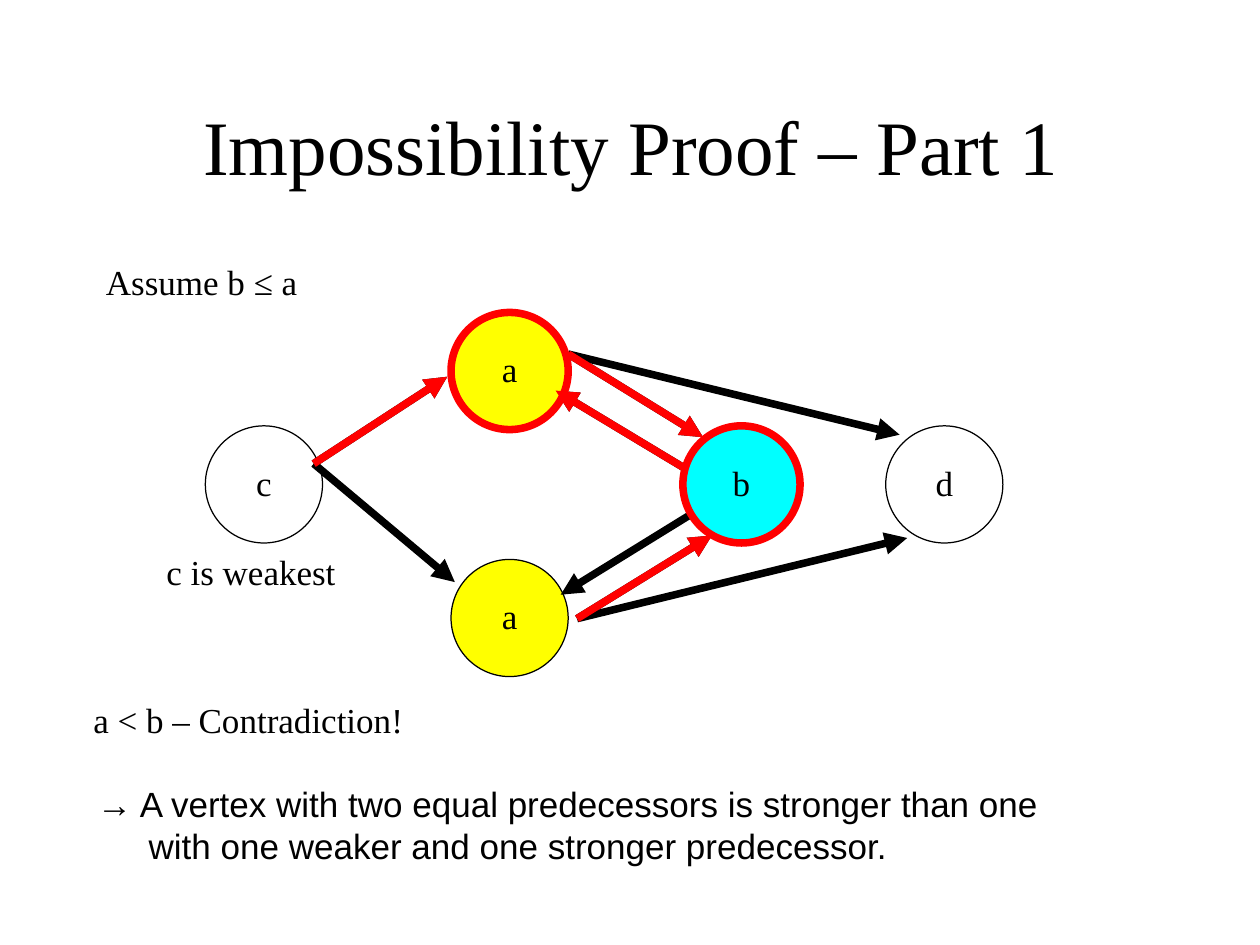
import dataclasses

import lxml.etree
import pptx
import pptx.dml.color
import pptx.enum.shapes
import pptx.enum.text
import pptx.oxml.ns
import pptx.util

Inches = pptx.util.Inches
Align = pptx.enum.text.PP_ALIGN
Anchor = pptx.enum.text.MSO_ANCHOR

SERIF = "Times New Roman"
BLACK, RED, YELLOW, CYAN = "000000", "FF0000", "FFFF00", "00FFFF"
DIAMETER = 0.93
THIN, THICK = 0.71, 4.31


@dataclasses.dataclass
class Vertex:
    label: str
    left: float
    top: float
    fill: str | None = None
    outline: str = BLACK
    weight: float = THIN


@dataclasses.dataclass
class Edge:
    start: tuple[float, float]
    end: tuple[float, float]


@dataclasses.dataclass
class Note:
    text: str
    left: float
    top: float
    width: float
    height: float


def color(value: str) -> pptx.dml.color.RGBColor:
    return pptx.dml.color.RGBColor.from_string(value)


def write(shape, text: str, *, size=20, font=SERIF, align=Align.LEFT,
          anchor=Anchor.TOP, spacing=0.93, hanging=0.0) -> None:
    frame = shape.text_frame
    frame.word_wrap = True
    frame.vertical_anchor = anchor
    frame.margin_left = frame.margin_right = 0
    frame.margin_top = frame.margin_bottom = 0
    para = frame.paragraphs[0]
    para.alignment = align
    para.line_spacing = spacing
    if hanging:
        properties = para._p.get_or_add_pPr()
        properties.set("marL", str(Inches(hanging)))
        properties.set("indent", str(-Inches(hanging)))
    span = para.add_run()
    span.text = text
    span.font.size = pptx.util.Pt(size)
    span.font.name = font
    span.font.color.rgb = color(BLACK)


def add_text(page, note: Note, **style) -> None:
    box = page.shapes.add_textbox(Inches(note.left), Inches(note.top),
                                  Inches(note.width), Inches(note.height))
    write(box, note.text, **style)


def add_vertex(page, vertex: Vertex) -> None:
    circle = page.shapes.add_shape(
        pptx.enum.shapes.MSO_SHAPE.OVAL, Inches(vertex.left), Inches(vertex.top),
        Inches(DIAMETER), Inches(DIAMETER))
    circle.shadow.inherit = False
    if vertex.fill:
        circle.fill.solid()
        circle.fill.fore_color.rgb = color(vertex.fill)
    else:
        circle.fill.background()
    circle.line.color.rgb = color(vertex.outline)
    circle.line.width = pptx.util.Pt(vertex.weight)
    write(circle, vertex.label, align=Align.CENTER, anchor=Anchor.MIDDLE)


def add_arrow(page, edge: Edge, shade: str) -> None:
    arrow = page.shapes.add_connector(
        pptx.enum.shapes.MSO_CONNECTOR.STRAIGHT,
        *(Inches(value) for value in edge.start + edge.end))
    arrow.line.color.rgb = color(shade)
    arrow.line.width = pptx.util.Pt(THICK)
    qn = pptx.oxml.ns.qn
    lxml.etree.SubElement(arrow.line._get_or_add_ln(), qn("a:tailEnd"), type="triangle")
    lxml.etree.SubElement(arrow._element.spPr, qn("a:effectLst"))


# Edges, named by their two vertices
C_OUT, UPPER_OUT, LOWER_OUT = (2.49, 3.68), (4.51, 2.81), (4.58, 4.91)
C_TO_UPPER = Edge(C_OUT, (3.55, 2.99))
C_TO_LOWER = Edge(C_OUT, (3.61, 4.62))
UPPER_TO_B = Edge(UPPER_OUT, (5.58, 3.47))
B_TO_UPPER = Edge((5.49, 3.75), (4.41, 3.1))
LOWER_TO_B = Edge(LOWER_OUT, (5.65, 4.25))
B_TO_LOWER = Edge((5.52, 4.06), (4.45, 4.72))
UPPER_TO_D = Edge(UPPER_OUT, (7.14, 3.45))
LOWER_TO_D = Edge(LOWER_OUT, (7.2, 4.27))

EDGES = [C_TO_UPPER, C_TO_LOWER, UPPER_TO_B, B_TO_UPPER,
         LOWER_TO_B, B_TO_LOWER, UPPER_TO_D, LOWER_TO_D]
PLAIN_VERTICES = [
    Vertex("c", 1.63, 3.38),
    Vertex("a", 3.58, 4.44, YELLOW),
    Vertex("d", 7.03, 3.38),
]
# Each compared vertex with its highlighted incoming edges
HIGHLIGHTS = [
    (Vertex("a", 3.58, 2.48, YELLOW, RED, THICK), [C_TO_UPPER, B_TO_UPPER]),
    (Vertex("b", 5.42, 3.38, CYAN, RED, THICK), [UPPER_TO_B, LOWER_TO_B]),
]
NOTES = [
    Note("c is weakest", 1.32, 4.4, 1.66, 0.32),
    Note("Assume b ≤ a", 0.84, 2.1, 1.65, 0.31),
    Note("a < b – Contradiction!", 0.74, 5.57, 2.99, 0.32),
]


def main() -> None:
    deck = pptx.Presentation()
    deck.slide_width, deck.slide_height = Inches(10), Inches(7.5)
    page = deck.slides.add_slide(deck.slide_layouts[6])

    # Title
    add_text(page, Note("Impossibility Proof – Part 1", 0.74, 0.55, 8.54, 1.25),
             size=44, align=Align.CENTER, anchor=Anchor.MIDDLE, spacing=0.98)

    # Graph
    for vertex in PLAIN_VERTICES:
        add_vertex(page, vertex)
    for edge in EDGES:
        add_arrow(page, edge, BLACK)

    # Compared vertices
    for vertex, incoming in HIGHLIGHTS:
        add_vertex(page, vertex)
        for edge in incoming:
            add_arrow(page, edge, RED)

    # Argument and conclusion
    for note in NOTES:
        add_text(page, note)
    conclusion = Note("→ A vertex with two equal predecessors is stronger than one "
                      "with one weaker and one stronger predecessor.",
                      0.77, 6.23, 7.91, 0.68)
    add_text(page, conclusion, font="Arial", spacing=0.98, hanging=0.41)

    deck.save("out.pptx")


if __name__ == "__main__":
    main()
